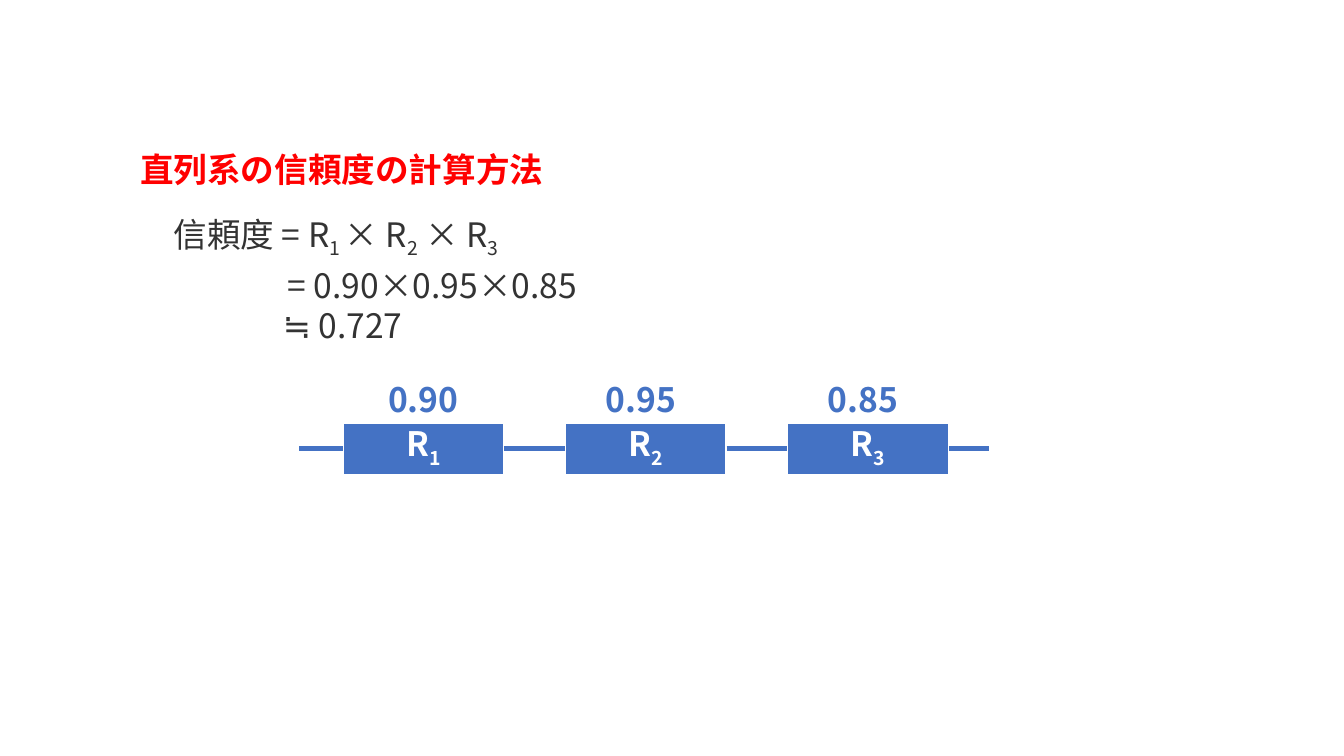
from lxml import etree
from pptx import Presentation
from pptx.dml.color import RGBColor
from pptx.enum.shapes import MSO_CONNECTOR, MSO_SHAPE
from pptx.enum.text import MSO_ANCHOR, MSO_AUTO_SIZE, PP_ALIGN
from pptx.oxml.ns import qn
from pptx.util import Pt

LINE = MSO_CONNECTOR.STRAIGHT
BOX = MSO_SHAPE.FLOWCHART_PROCESS
TOP, MIDDLE = MSO_ANCHOR.TOP, MSO_ANCHOR.MIDDLE
LEFT, CENTER = PP_ALIGN.LEFT, PP_ALIGN.CENTER
FONT = "Noto Sans CJK JP"
HEX = {"red": "FF0000", "gray": "333333", "blue": "4472C4", "white": "FFFFFF"}
COLOR = {name: RGBColor.from_string(code) for name, code in HEX.items()}


def frame(shape, anchor):
    text = shape.text_frame
    form = {
        "word_wrap": True, "auto_size": MSO_AUTO_SIZE.NONE, "vertical_anchor": anchor,
        "margin_left": Pt(7.2), "margin_right": Pt(7.2),
        "margin_top": Pt(3.6), "margin_bottom": Pt(3.6),
    }
    for key, value in form.items():
        setattr(text, key, value)
    return text


def write(para, parts, color, bold, align):
    para.alignment = align
    for index, part in enumerate(parts):
        run = para.add_run()
        run.text = part
        form = {"name": FONT, "size": Pt(24), "bold": bold}
        for key, value in form.items():
            setattr(run.font, key, value)
        run.font.color.rgb = COLOR[color]
        props = run.font._element
        etree.SubElement(props, qn("a:ea")).set("typeface", FONT)
        if index % 2:
            props.set("baseline", "-25000")


deck = Presentation()
deck.slide_width, deck.slide_height = Pt(960), Pt(540)
slide = deck.slides.add_slide(deck.slide_layouts[5])
shapes = slide.shapes

title = shapes.title
place = {"left": 92.9, "top": 102.9, "width": 752.4, "height": 42}
for key, value in place.items():
    setattr(title, key, Pt(value))
write(frame(title, TOP).paragraphs[0], ["直列系の信頼度の計算方法"], "red", True, LEFT)

steps = [
    (24, 0, ["信頼度 = R", "1 ", "× R", "2", " × R", "3"]),
    (105.6, 4.2, ["= 0.90×0.95×0.85"]),
    (102, 0, ["≒ 0.727"]),
]
body = frame(shapes.add_textbox(Pt(92.9), Pt(153.3), Pt(752.4), Pt(97)), TOP)
for index, (indent, gap, parts) in enumerate(steps):
    para = body.add_paragraph() if index else body.paragraphs[0]
    para.line_spacing = Pt(28.6)
    para.space_before = Pt(gap)
    props = para._p.get_or_add_pPr()
    props.set("marL", str(Pt(indent)))
    props.set("indent", "0")
    write(para, parts, "gray", False, LEFT)

units = [("0.90", 252), ("0.95", 407.5), ("0.85", 565.9)]
for index, (value, left) in enumerate(units):
    box = shapes.add_shape(BOX, Pt(244.8 + 158.8 * index), Pt(302.4), Pt(115.2), Pt(36.7))
    box.shadow.inherit = False
    box.fill.solid()
    box.fill.fore_color.rgb = COLOR["blue"]
    box.line.color.rgb = COLOR["white"]
    box.line.width = Pt(1.5)
    name = frame(box, MIDDLE).paragraphs[0]
    name.line_spacing = Pt(28.6)
    write(name, ["R", str(index + 1)], "white", True, CENTER)

    label = shapes.add_textbox(Pt(left), Pt(267.6), Pt(100.8), Pt(36))
    rate = frame(label, TOP).paragraphs[0]
    rate.line_spacing = Pt(28.6)
    write(rate, [value], "blue", True, CENTER)

for start, end in [(213.8, 244.8), (360, 403.9), (519.1, 562.3), (678.2, 706.3)]:
    wire = shapes.add_connector(LINE, Pt(start), Pt(320.4), Pt(end), Pt(320.4))
    wire.line.color.rgb = COLOR["blue"]
    wire.line.width = Pt(3)
    etree.SubElement(wire._element.spPr, qn("a:effectLst"))

deck.save("out.pptx")
